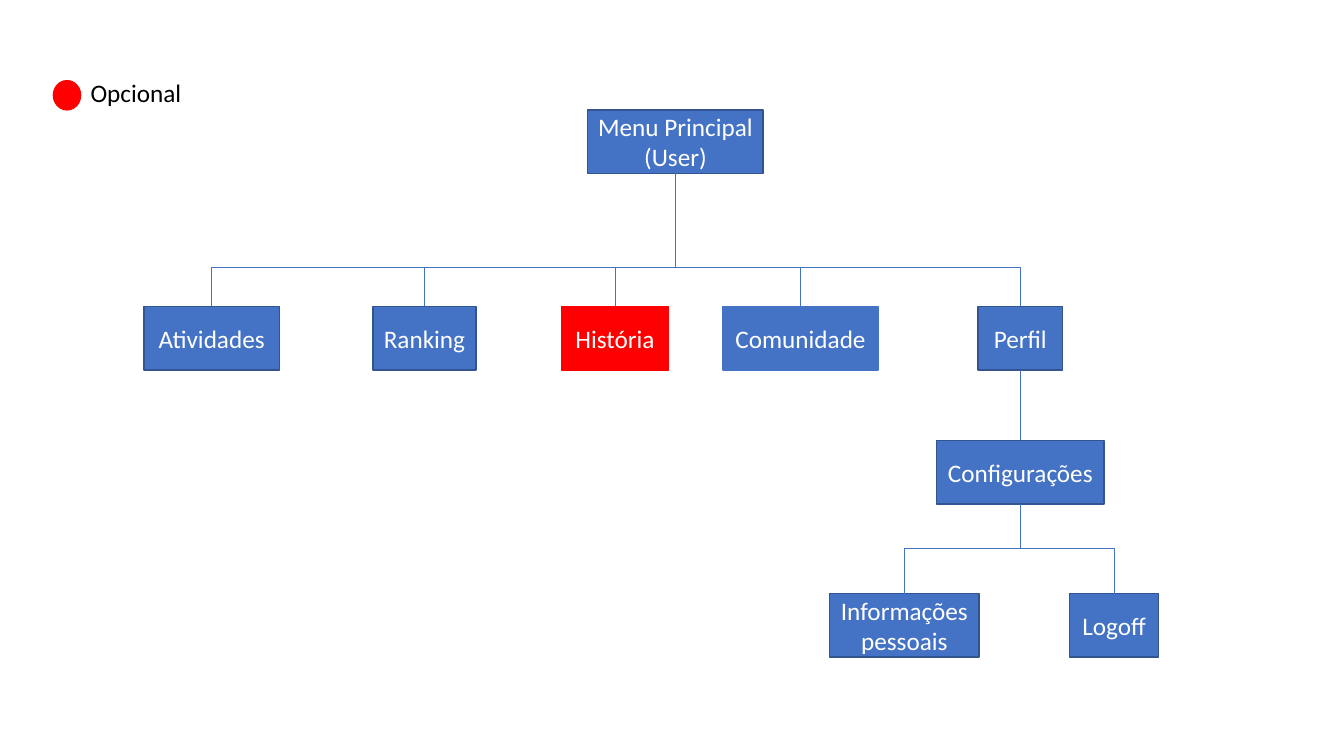
import pptx
import pptx.dml.color
import pptx.enum.shapes
import pptx.enum.text
import pptx.oxml
import pptx.oxml.ns
import pptx.util

PX = 9144  # EMU per px, 100 px to the inch
BOX_HEIGHT = 63
TOP, LEFT, BOTTOM, RIGHT = range(4)  # connection sites of a rectangle
SECTION_BUS, SETTINGS_BUS = 265, 544

COLORS = {
    "blue": "4472C4",
    "edge": "325491",
    "optional": "FF0000",
    "white": "FFFFFF",
    "black": "000000",
}
FONT = {"name": "Calibri", "size": pptx.util.Pt(18)}
BOX_FRAME = {
    "word_wrap": True,
    "vertical_anchor": pptx.enum.text.MSO_ANCHOR.MIDDLE,
    "margin_left": 5 * PX,
    "margin_right": 5 * PX,
}
LABEL_FRAME = {
    "word_wrap": True,
    "auto_size": pptx.enum.text.MSO_AUTO_SIZE.SHAPE_TO_FIT_TEXT,
}

# text: left, width, fill, edge
SECTIONS = {
    "Atividades": (143, 134, "blue", "edge"),
    "Ranking": (370, 102, "blue", "edge"),
    "História": (557, 106, "optional", "optional"),
    "Comunidade": (717, 154, "blue", "blue"),
    "Perfil": (970, 84, "blue", "edge"),
}
SETTINGS = {
    "Informações pessoais": (823, 148, "blue", "edge"),
    "Logoff": (1061, 88, "blue", "edge"),
}


def set_values(target, values):
    for name, value in values.items():
        setattr(target, name, value)


def rgb(color):
    return pptx.dml.color.RGBColor.from_string(COLORS[color])


def write(frame, text, color, frame_values, align):
    set_values(frame, frame_values)
    frame.text = text
    for paragraph in frame.paragraphs:
        paragraph.alignment = align
        for run in paragraph.runs:
            set_values(run.font, FONT)
            run.font.color.rgb = rgb(color)


def add_figure(slide, kind, left, top, width, height, fill, edge):
    figure = slide.shapes.add_shape(
        kind, left * PX, top * PX, width * PX, height * PX)
    figure.shadow.inherit = False
    figure.fill.solid()
    figure.fill.fore_color.rgb = rgb(fill)
    figure.line.color.rgb = rgb(edge)
    figure.line.width = pptx.util.Pt(1)
    return figure


def add_box(slide, text, top, left, width, fill="blue", edge="edge"):
    box = add_figure(slide, pptx.enum.shapes.MSO_SHAPE.RECTANGLE,
                     left, top, width, BOX_HEIGHT, fill, edge)
    write(box.text_frame, text, "white", BOX_FRAME,
          pptx.enum.text.PP_ALIGN.CENTER)
    return box


def add_line(slide, x1, y1, x2, y2):
    line = slide.shapes.add_connector(
        pptx.enum.shapes.MSO_CONNECTOR.STRAIGHT, x1, y1, x2, y2)
    line.line.color.rgb = rgb("blue")
    line.line.width = pptx.util.Pt(0.5)
    properties = line._element.spPr
    properties.append(pptx.oxml.parse_xml(
        "<a:effectLst %s/>" % pptx.oxml.ns.nsdecls("a")))
    return line


def add_stem(slide, box, site, bus):
    """Vertical line from a box's top or bottom to a bus."""
    x = box.left + box.width // 2
    y = box.top if site == TOP else box.top + box.height
    add_line(slide, x, y, x, bus * PX).begin_connect(box, site)


def add_row(slide, entries, top, bus):
    boxes = [add_box(slide, text, top, *entry)
             for text, entry in entries.items()]
    for box in boxes:
        add_stem(slide, box, TOP, bus)
    return boxes


def main():
    deck = pptx.Presentation()
    deck.slide_width, deck.slide_height = 1333 * PX, 750 * PX
    slide = deck.slides.add_slide(deck.slide_layouts[6])

    # Main menu and its sections
    menu = add_box(slide, "Menu Principal\n(User)", 109, 583, 174)
    profile = add_row(slide, SECTIONS, 304, SECTION_BUS)[-1]
    add_stem(slide, menu, BOTTOM, SECTION_BUS)
    for end in (210, 1012):
        add_line(slide, 681 * PX, SECTION_BUS * PX, end * PX, SECTION_BUS * PX)

    # Profile settings
    settings = add_box(slide, "Configurações", 437, 929, 166)
    x = profile.left + profile.width // 2
    profile_link = add_line(
        slide, x, profile.top + profile.height, x, settings.top)
    profile_link.begin_connect(profile, BOTTOM)
    profile_link.end_connect(settings, TOP)
    add_row(slide, SETTINGS, 589, SETTINGS_BUS)
    add_stem(slide, settings, BOTTOM, SETTINGS_BUS)
    add_line(slide, 1105 * PX, SETTINGS_BUS * PX, 897 * PX, SETTINGS_BUS * PX)

    # Legend
    add_figure(slide, pptx.enum.shapes.MSO_SHAPE.OVAL,
               53, 80, 27, 29, "optional", "optional")
    legend = slide.shapes.add_textbox(80 * PX, 72 * PX, 114 * PX, 40 * PX)
    write(legend.text_frame, "Opcional", "black", LABEL_FRAME,
          pptx.enum.text.PP_ALIGN.LEFT)

    deck.save("out.pptx")


if __name__ == "__main__":
    main()
